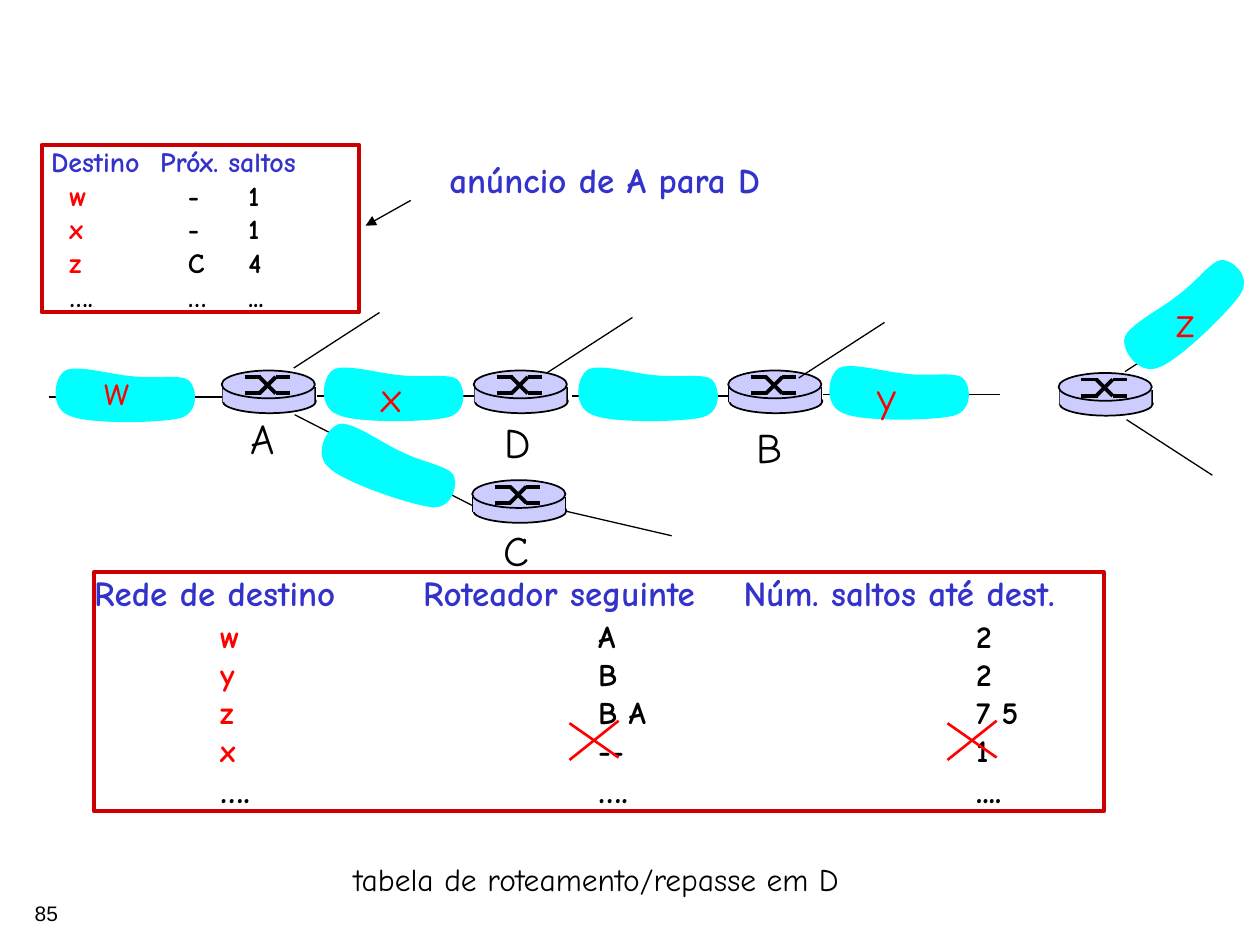
import pptx
import pptx.dml.color
import pptx.enum.shapes
import pptx.enum.text
import pptx.oxml.ns
import pptx.oxml.xmlchemy
import pptx.util

Cm = pptx.util.Cm
Pt = pptx.util.Pt
SHAPES = pptx.enum.shapes.MSO_SHAPE
BLACK, RED, BLUE, FRAME = "000000", "FF0000", "3333CC", "CC0000"
AQUA, LILAC = "00FFFF", "CCCCFF"
CLOUD_POINTS = [
    (1.73, 0.25),
    (1.32, 0.23), (0.56, 0), (0.33, 0.13),
    (0.1, 0.25), (0, 0.89), (0.41, 1.04),
    (0.79, 1.22), (2.24, 1.19), (2.64, 1.09),
    (3.05, 0.97), (2.97, 0.46), (2.82, 0.33),
    (2.67, 0.2), (2.13, 0.3), (1.73, 0.25),
]
SWITCH_LINES = [
    (0.46, 0.13, 0.79, 0.13), (1.09, 0.46, 1.37, 0.46), (0.76, 0.13, 1.09, 0.46),
    (0.46, 0.46, 0.79, 0.46), (1.09, 0.13, 1.37, 0.13), (0.76, 0.46, 1.09, 0.13),
]


def color(value):
    return pptx.dml.color.RGBColor.from_string(value)


def element(tag, **attributes):
    node = pptx.oxml.xmlchemy.OxmlElement(tag)
    for name, value in attributes.items():
        node.set(name, str(value))
    return node


def write(para, text, size=18, ink=BLACK, bold=False, font="Comic Neue"):
    span = para.add_run()
    span.text = text
    span.font.size = Pt(size)
    span.font.name = font
    span.font.bold = bold
    span.font.color.rgb = color(ink)


def add_text(slide, text, left, top, width, height=1.27, **style):
    box = slide.shapes.add_textbox(Cm(left), Cm(top), Cm(width), Cm(height))
    box.text_frame.word_wrap = True
    write(box.text_frame.paragraphs[0], text, **style)


def add_line(slide, x1, y1, x2, y2, ink=BLACK, weight=0.75, arrow=False):
    line = slide.shapes.add_connector(
        pptx.enum.shapes.MSO_CONNECTOR.STRAIGHT, Cm(x1), Cm(y1), Cm(x2), Cm(y2))
    line.line.color.rgb = color(ink)
    line.line.width = Pt(weight)
    if arrow:
        line.line._get_or_add_ln().append(element("a:tailEnd", type="triangle"))
    line.element.spPr.append(element("a:effectLst"))


def add_solid(slide, kind, left, top, width, height, fill=None, outline=None, weight=1):
    shape = slide.shapes.add_shape(kind, Cm(left), Cm(top), Cm(width), Cm(height))
    shape.shadow.inherit = False
    if fill:
        shape.fill.solid()
        shape.fill.fore_color.rgb = color(fill)
    else:
        shape.fill.background()
    if outline:
        shape.line.color.rgb = color(outline)
        shape.line.width = Pt(weight)
    else:
        shape.line.fill.background()
    return shape


def add_router(slide, left, top):
    add_solid(slide, SHAPES.OVAL, left + 0.02, top + 0.38, 1.88, 0.48, LILAC, BLACK)
    for side in (left + 0.02, left + 1.88):
        add_line(slide, side, top + 0.34, side, top + 0.64, weight=1)
    add_solid(slide, SHAPES.RECTANGLE, left + 0.02, top + 0.34, 1.85, 0.3, LILAC)
    add_solid(slide, SHAPES.OVAL, left, top, 1.88, 0.56, LILAC, BLACK)
    for x1, y1, x2, y2 in SWITCH_LINES:
        add_line(slide, left + x1, top + y1, left + x2, top + y2, weight=2.25)


def add_cloud(slide, left, top, rotation=0):
    points = [(Cm(left + x), Cm(top + y)) for x, y in CLOUD_POINTS]
    builder = slide.shapes.build_freeform(*points[0])
    builder.add_line_segments(points[1:], close=True)
    cloud = builder.convert_to_shape()
    sides = cloud.element.xpath(".//a:lnTo")
    for first in range(0, len(sides), 3):
        curve = element("a:cubicBezTo")
        sides[first].addprevious(curve)
        for side in sides[first:first + 3]:
            curve.append(side[0])
            side.getparent().remove(side)
    cloud.rotation = rotation
    cloud.shadow.inherit = False
    cloud.fill.solid()
    cloud.fill.fore_color.rgb = color(AQUA)
    cloud.line.fill.background()


def set_tabs(para, stops):
    tabs = element("a:tabLst")
    for stop in stops:
        tabs.append(element("a:tab", pos=int(Cm(stop)), algn="l"))
    para._p.get_or_add_pPr().append(tabs)


def add_routes(slide, area, heading, rows, heading_stops, row_stops,
               heading_size, row_size, last_size, bold_dots=True, gap=0):
    box = add_solid(slide, SHAPES.RECTANGLE, *area, outline=FRAME, weight=2.25)
    frame = box.text_frame
    frame.word_wrap = True
    frame.vertical_anchor = pptx.enum.text.MSO_ANCHOR.TOP
    frame.margin_left = frame.margin_top = frame.margin_right = frame.margin_bottom = 0
    para = frame.paragraphs[0]
    para.alignment = pptx.enum.text.PP_ALIGN.LEFT
    set_tabs(para, heading_stops)
    write(para, heading, size=heading_size, ink=BLUE, bold=True)
    for number, (target, rest) in enumerate(rows):
        para = frame.add_paragraph()
        para.alignment = pptx.enum.text.PP_ALIGN.LEFT
        if number == 0 and gap:
            para.space_before = Pt(gap)
        set_tabs(para, row_stops)
        last = number == len(rows) - 1
        size = last_size if last else row_size
        write(para, f"\t{target}\t", size=size, ink=BLACK if last else RED, bold=True)
        write(para, rest, size=size, bold=True)


def main():
    deck = pptx.Presentation()
    deck.slide_width, deck.slide_height = Cm(25.4), Cm(19.05)
    slide = deck.slides.add_slide(deck.slide_layouts[6])

    add_text(slide, "85", 0.45, 18.03, 2, 0.6, size=12, font="Arial")
    add_routes(
        slide, (1.9, 11.53, 20.35, 4.83),
        "Rede de destino\tRoteador seguinte\tNúm. saltos até dest.",
        [("w", "A\t2"), ("y", "B\t2"), ("z", "B A\t7 5"), ("x", "--\t1"), ("….", "….\t....")],
        (6.63, 13.09), (2.54, 10.16, 17.78), 20, 18, 20, gap=2)
    add_text(slide, "tabela de roteamento/repasse em D", 6.88, 17.22, 10.7, 1.02)

    for left, top in [(0.99, 8), (6.4, 7.98), (11.53, 7.98), (16.59, 7.95)]:
        add_line(slide, left, top, left + 3.56, top, weight=1)
    for left, top in [(4.47, 7.47), (9.55, 7.47), (9.52, 9.68), (14.68, 7.47), (21.34, 7.52)]:
        add_router(slide, left, top)
    for left, top, rise in [(5.92, 7.42, -1.12), (11.02, 7.52, -1.12), (16.1, 7.62, -1.12),
                            (22.68, 7.49, -1.12), (22.71, 8.46, 1.12)]:
        add_line(slide, left, top, left + 1.73, top + rise)
    add_line(slide, 5.94, 8.36, 9.52, 10.19)
    add_line(slide, 11.43, 10.31, 13.54, 10.8)
    for cloud in [(6.4, 7.32), (6.3, 8.79, 19.7), (0.99, 7.34), (11.53, 7.32),
                  (16.59, 7.29), (22.35, 5.72, 316.8)]:
        add_cloud(slide, *cloud)

    for name, left, top in [("w", 1.85, 7.21), ("x", 7.44, 7.34),
                            ("y", 17.45, 7.34), ("z", 23.47, 5.84)]:
        add_text(slide, name, left, top, 1, size=24, ink=RED)
    for name, left, top in [("A", 4.8, 8.2), ("C", 9.91, 10.44),
                            ("D", 9.93, 8.28), ("B", 15.01, 8.38)]:
        add_text(slide, name, left, top, 1.02, size=24)

    add_routes(
        slide, (0.84, 2.92, 6.4, 3.38), "\tDestino\tPróx. saltos",
        [("w", "-\t1"), ("x", "-\t1"), ("z", "C\t4"), ("….", "…\t...")],
        (0.19, 2.39), (0.56, 2.95, 4.17), 16, 16, 16)
    add_text(slide, "anúncio de A para D", 8.81, 3.07, 7.1, 1.12,
             size=20, ink=BLUE, bold=True)
    add_line(slide, 8.28, 4.04, 7.37, 4.55, arrow=True)
    for left in (11.48, 19.1):
        add_line(slide, left, 14.58, left + 0.99, 15.27, ink=RED, weight=1.5)
        add_line(slide, left, 15.32, left + 0.99, 14.53, ink=RED, weight=1.5)

    deck.save("out.pptx")


if __name__ == "__main__":
    main()
